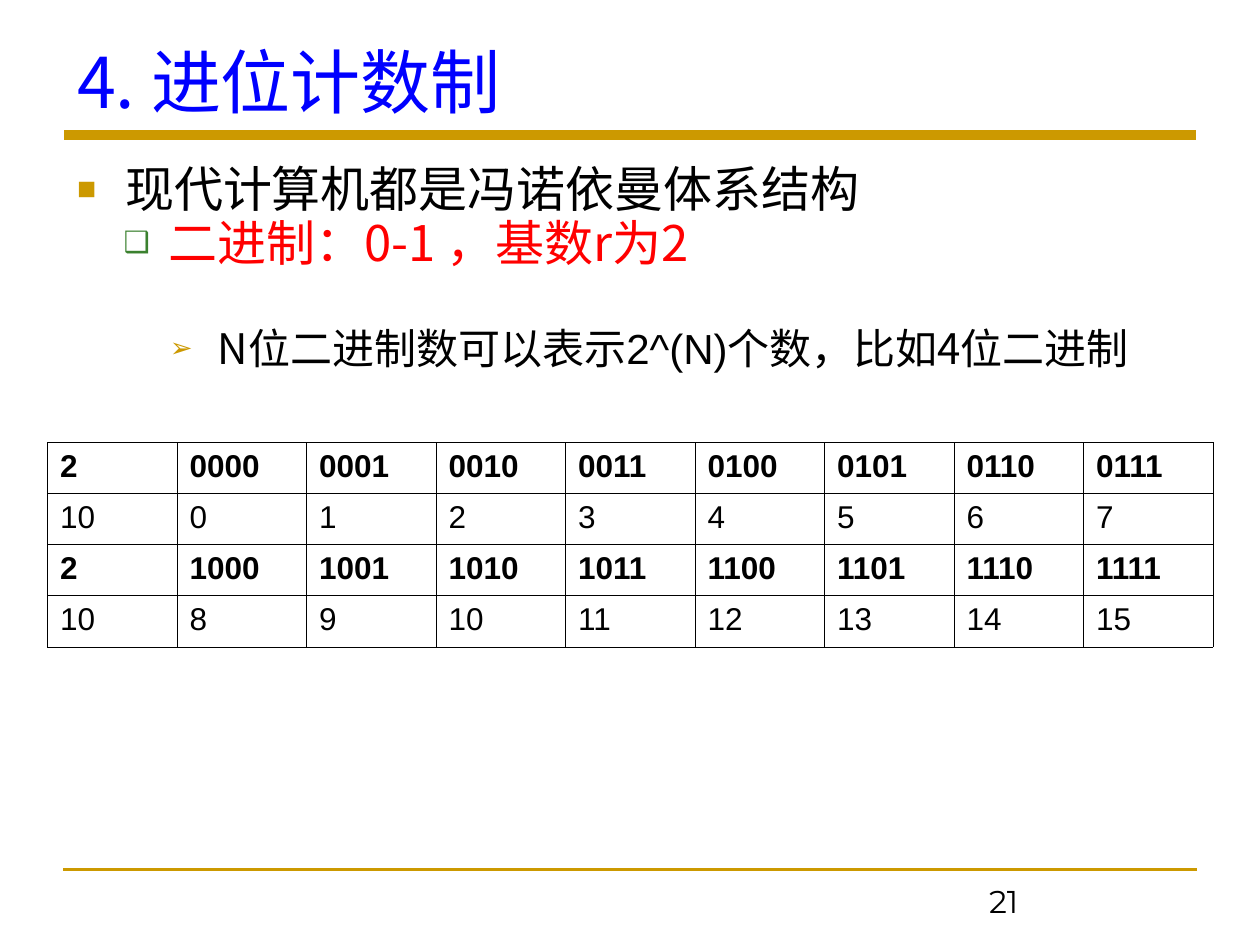
from lxml import etree
from pptx import Presentation
from pptx.dml.color import RGBColor
from pptx.enum.shapes import MSO_CONNECTOR
from pptx.enum.text import MSO_ANCHOR, MSO_AUTO_SIZE
from pptx.oxml.ns import qn
from pptx.util import Cm, Pt

CJK = "Noto Sans CJK SC"
GOLD = "CC9900"


def color(hex_string):
    return RGBColor.from_string(hex_string)


def add_run(paragraph, text, size, font_name, hex_string, bold=False):
    run = paragraph.add_run()
    run.text = text
    run.font.size = Pt(size)
    run.font.bold = bold
    run.font.name = font_name
    run.font.color.rgb = color(hex_string)
    east_asian = etree.SubElement(run._r.get_or_add_rPr(), qn("a:ea"))
    east_asian.set("typeface", CJK)


presentation = Presentation()
presentation.slide_width = Cm(25.4)
presentation.slide_height = Cm(19.05)
slide = presentation.slides.add_slide(presentation.slide_layouts[1])

for left, right, top, width in [(1.27, 24.13, 17.53, 1.5), (1.3, 24.1, 2.72, 6)]:
    rule = slide.shapes.add_connector(
        MSO_CONNECTOR.STRAIGHT, Cm(left), Cm(top), Cm(right), Cm(top))
    rule.line.color.rgb = color(GOLD)
    rule.line.width = Pt(width)
    etree.SubElement(rule._element.spPr, qn("a:effectLst"))

title = slide.shapes.title
title.left, title.top, title.width, title.height = Cm(1.3), Cm(0.84), Cm(22.86), Cm(2.24)
title.text_frame.auto_size = MSO_AUTO_SIZE.NONE
title.text_frame.vertical_anchor = MSO_ANCHOR.TOP
paragraph = title.text_frame.paragraphs[0]
paragraph.alignment = 1
paragraph.line_spacing = 0.9
add_run(paragraph, "4. 进位计数制", 40, CJK, "0000FF")

body = slide.placeholders[1]
body.left, body.top, body.width, body.height = Cm(1.3), Cm(3.33), Cm(22.86), Cm(14)
body_frame = body.text_frame
body_frame.auto_size = MSO_AUTO_SIZE.NONE
body_frame.vertical_anchor = MSO_ANCHOR.TOP
body_frame.margin_top = body_frame.margin_right = 0

items = [
    ("■", GOLD, 65, 0.97, 0.97, 0, 28,
     [("现代计算机都是冯诺依曼体系结构", CJK, "000000")]),
    ("❑", "3B812F", 60, 1.85, 0.91, 0.5, 28,
     [("二进制：0-1 ，基数r为2", CJK, "FF0000")]),
    ("➢", GOLD, 65, 2.84, 0.97, 32, 24,
     [("N位二进制数可以表示", CJK, "000000"),
      ("2^(N)", "Arial", "000000"),
      ("个数，比如4位二进制", CJK, "000000")]),
]
for level, (bullet, bullet_color, bullet_size, indent, hanging, before, size, runs) in enumerate(items):
    paragraph = body_frame.add_paragraph() if level else body_frame.paragraphs[0]
    paragraph.level = level
    properties = paragraph._p.get_or_add_pPr()
    properties.set("marL", str(Cm(indent)))
    properties.set("indent", str(-Cm(hanging)))
    bullet_fill = etree.SubElement(properties, qn("a:buClr"))
    etree.SubElement(bullet_fill, qn("a:srgbClr")).set("val", bullet_color)
    etree.SubElement(properties, qn("a:buSzPct")).set("val", str(bullet_size * 1000))
    etree.SubElement(properties, qn("a:buFont")).set("typeface", "Arial")
    etree.SubElement(properties, qn("a:buChar")).set("char", bullet)
    paragraph.line_spacing = 0.9
    paragraph.space_before = Pt(before)
    for text, font_name, hex_string in runs:
        add_run(paragraph, text, size, font_name, hex_string)

page_box = slide.shapes.add_textbox(Cm(19.69), Cm(17.65), Cm(5.71), Cm(1.02))
page_box.text_frame.word_wrap = True
add_run(page_box.text_frame.paragraphs[0], "21", 18, "Montserrat", "000000")

rows = []
for start in (0, 8):
    numbers = range(start, start + 8)
    rows.append(["2"] + [f"{number:04b}" for number in numbers])
    rows.append(["10"] + [str(number) for number in numbers])

table = slide.shapes.add_table(4, 9, Cm(0.96), Cm(8.92), Cm(23.49), Cm(4.12)).table
for column in table.columns:
    column.width = Cm(2.61)
for row_index, values in enumerate(rows):
    table.rows[row_index].height = Cm(1.03)
    for column_index, value in enumerate(values):
        cell = table.cell(row_index, column_index)
        cell_properties = cell._tc.get_or_add_tcPr()
        for side in ("lnL", "lnR", "lnT", "lnB"):
            border = etree.SubElement(cell_properties, qn(f"a:{side}"))
            border.set("w", str(Pt(0.45)))
            border_fill = etree.SubElement(border, qn("a:solidFill"))
            etree.SubElement(border_fill, qn("a:srgbClr")).set("val", "000000")
        cell.fill.solid()
        cell.fill.fore_color.rgb = color("FFFFFF")
        add_run(cell.text_frame.paragraphs[0], value, 18, "Arial", "000000",
                bold=row_index % 2 == 0)

presentation.save("out.pptx")
